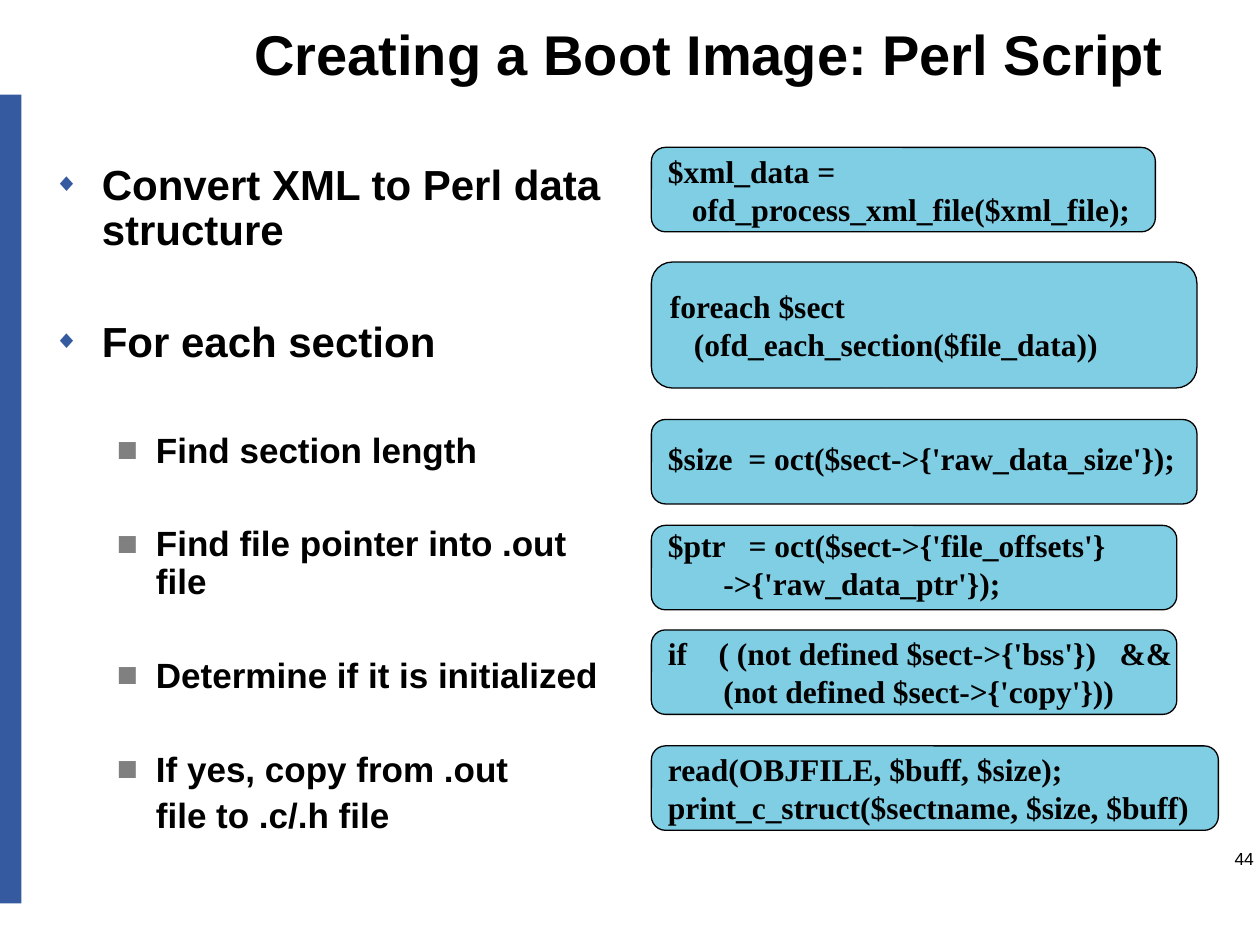
from dataclasses import dataclass
from lxml.etree import SubElement
from pptx import Presentation
from pptx.dml.color import RGBColor
from pptx.enum.shapes import MSO_SHAPE
from pptx.enum.text import MSO_ANCHOR, PP_ALIGN
from pptx.oxml.ns import qn
from pptx.slide import Slide
from pptx.util import Inches, Pt


def color(hex_code):
    return RGBColor.from_string(hex_code)


def write(paragraph, text, size=18, font="Arial", ink="000000", bold=True,
          align=PP_ALIGN.LEFT, line=1.0, before=0, margin=0, indent=0):
    run = paragraph.add_run()
    run.text = text
    run.font.size = Pt(size)
    run.font.name = font
    run.font.bold = bold
    run.font.color.rgb = color(ink)
    paragraph.alignment = align
    paragraph.line_spacing = line
    paragraph.space_before = Pt(before)
    properties = paragraph._p.get_or_add_pPr()
    properties.set("marL", str(Inches(margin)))
    properties.set("indent", str(Inches(indent)))


def add_bullet(paragraph, char, ink, percent):
    properties = paragraph._p.get_or_add_pPr()
    bullet_color = SubElement(properties, qn("a:buClr"))
    SubElement(bullet_color, qn("a:srgbClr"), val=ink)
    SubElement(properties, qn("a:buSzPct"), val=str(percent * 1000))
    SubElement(properties, qn("a:buFont"), typeface="Arial")
    SubElement(properties, qn("a:buChar"), char=char)


def paragraphs(frame, count):
    return [frame.paragraphs[0]] + [frame.add_paragraph() for _ in range(count - 1)]


@dataclass
class Deck:
    slide: Slide
    accent: str = "365A9F"
    code_fill: str = "80CEE4"
    ink: str = "000000"
    muted: str = "808080"
    code_font: str = "Times New Roman"

    def shape(self, kind, left, top, width, height, fill):
        shape = self.slide.shapes.add_shape(
            kind, Inches(left), Inches(top), Inches(width), Inches(height))
        shape.shadow.inherit = False
        shape.fill.solid()
        shape.fill.fore_color.rgb = color(fill)
        return shape

    def side_bar(self):
        bar = self.shape(MSO_SHAPE.RECTANGLE, 0, 0.75, 0.17, 6.42, self.accent)
        bar.line.fill.background()

    def text_frame(self, left, top, width, height, anchor=MSO_ANCHOR.TOP):
        box = self.slide.shapes.add_textbox(
            Inches(left), Inches(top), Inches(width), Inches(height))
        box.text_frame.word_wrap = True
        box.text_frame.vertical_anchor = anchor
        return box.text_frame

    def label(self, text, left, top, width, height, anchor=MSO_ANCHOR.TOP, **style):
        frame = self.text_frame(left, top, width, height, anchor)
        write(frame.paragraphs[0], text, **style)

    def outline(self, steps, left, top, width, height):
        frame = self.text_frame(left, top, width, height)
        for paragraph, (level, text, before) in zip(paragraphs(frame, len(steps)), steps):
            if level == "main":
                write(paragraph, text, size=24, line=0.9, before=before,
                      margin=0.38, indent=-0.38)
                add_bullet(paragraph, "◆", self.accent, 60)
            elif level == "sub":
                write(paragraph, text, size=20, line=0.9, before=before,
                      margin=0.81, indent=-0.31)
                add_bullet(paragraph, "■", self.muted, 100)
            else:
                write(paragraph, text, size=20, line=0.9, before=before, margin=0.81)

    def code_box(self, lines, top, width, height=0.67, **spacing):
        box = self.shape(MSO_SHAPE.ROUNDED_RECTANGLE, 5.17, top, width, height,
                         self.code_fill)
        box.line.color.rgb = color(self.ink)
        box.line.width = Pt(0.75)
        frame = box.text_frame
        frame.word_wrap = False
        frame.vertical_anchor = MSO_ANCHOR.MIDDLE
        for paragraph, (text, margin) in zip(paragraphs(frame, len(lines)), lines):
            write(paragraph, text, font=self.code_font, margin=margin, **spacing)


def main():
    presentation = Presentation()
    presentation.slide_width = Inches(10)
    presentation.slide_height = Inches(7.5)
    deck = Deck(presentation.slides.add_slide(presentation.slide_layouts[6]))

    deck.side_bar()
    deck.label("Creating a Boot Image: Perl Script", 1.92, 0, 8.08, 0.92,
               anchor=MSO_ANCHOR.MIDDLE, size=32, line=0.85)

    main_gap, sub_gap = 38, 32
    deck.outline([
        ("main", "Convert XML to Perl data structure", 6),
        ("main", "For each section", main_gap),
        ("sub", "Find section length", main_gap),
        ("sub", "Find file pointer into .out file", sub_gap),
        ("sub", "Determine if it is initialized", sub_gap),
        ("sub", "If yes, copy from .out", sub_gap),
        ("continued", "file to .c/.h file", 5),
    ], 0.33, 1.25, 4.67, 5.42)

    tight = {"line": 0.8, "before": 4.5}
    step, deep_step = 0.19, 0.44
    deck.code_box([("$xml_data =", 0),
                   ("ofd_process_xml_file($xml_file);", step)], 1.17, 4)
    deck.code_box([("foreach $sect", 0),
                   ("(ofd_each_section($file_data))", step)], 2.08, 4.33, height=1)
    deck.code_box([("$size  = oct($sect->{'raw_data_size'});", 0)], 3.33, 4.33, **tight)
    deck.code_box([("$ptr   = oct($sect->{'file_offsets'}", 0),
                   ("->{'raw_data_ptr'});", deep_step)], 4.17, 4.17, **tight)
    deck.code_box([("if    ( (not defined $sect->{'bss'})   &&", 0),
                   ("(not defined $sect->{'copy'}))", deep_step)], 5, 4.17)
    deck.code_box([("read(OBJFILE, $buff, $size);", 0),
                   ("print_c_struct($sectname, $size, $buff)", 0)], 5.92, 4.5)

    deck.label("44", 9.05, 6.68, 1, 0.5, size=10, bold=False, align=PP_ALIGN.RIGHT)
    presentation.save("out.pptx")


if __name__ == "__main__":
    main()
